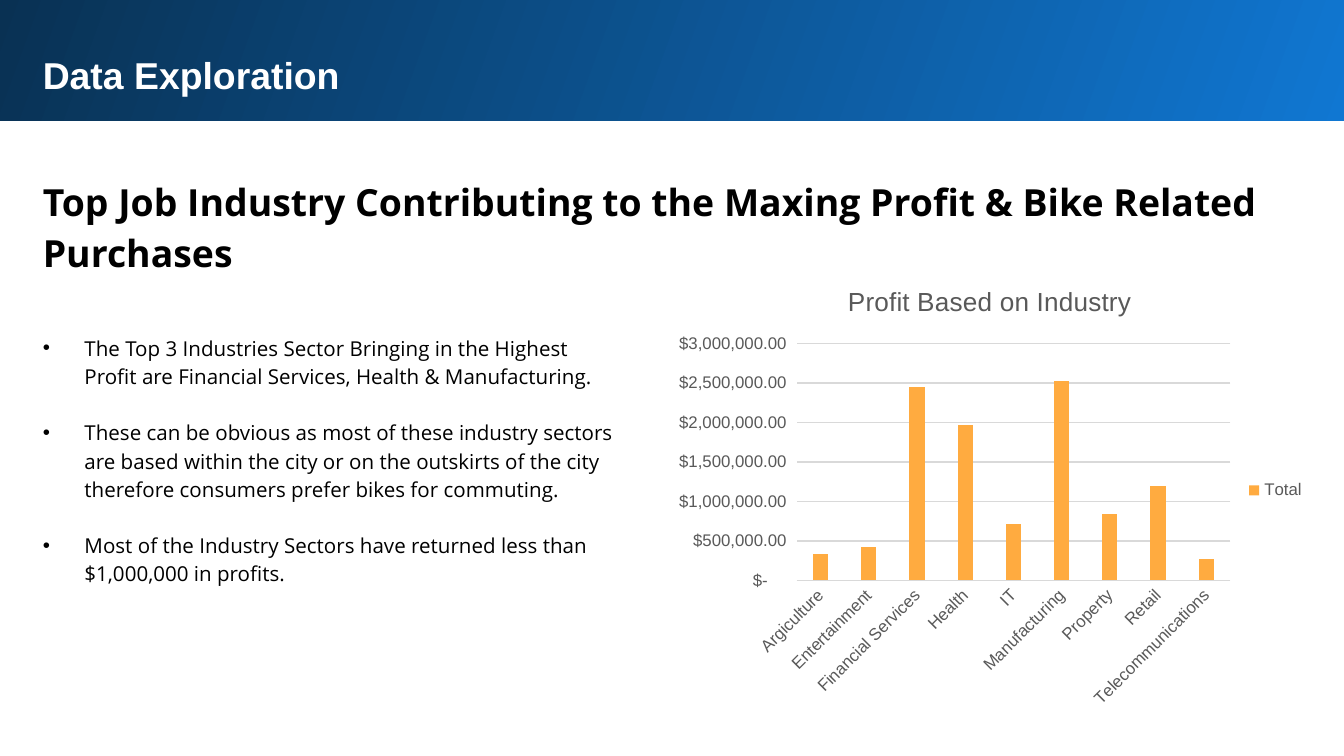
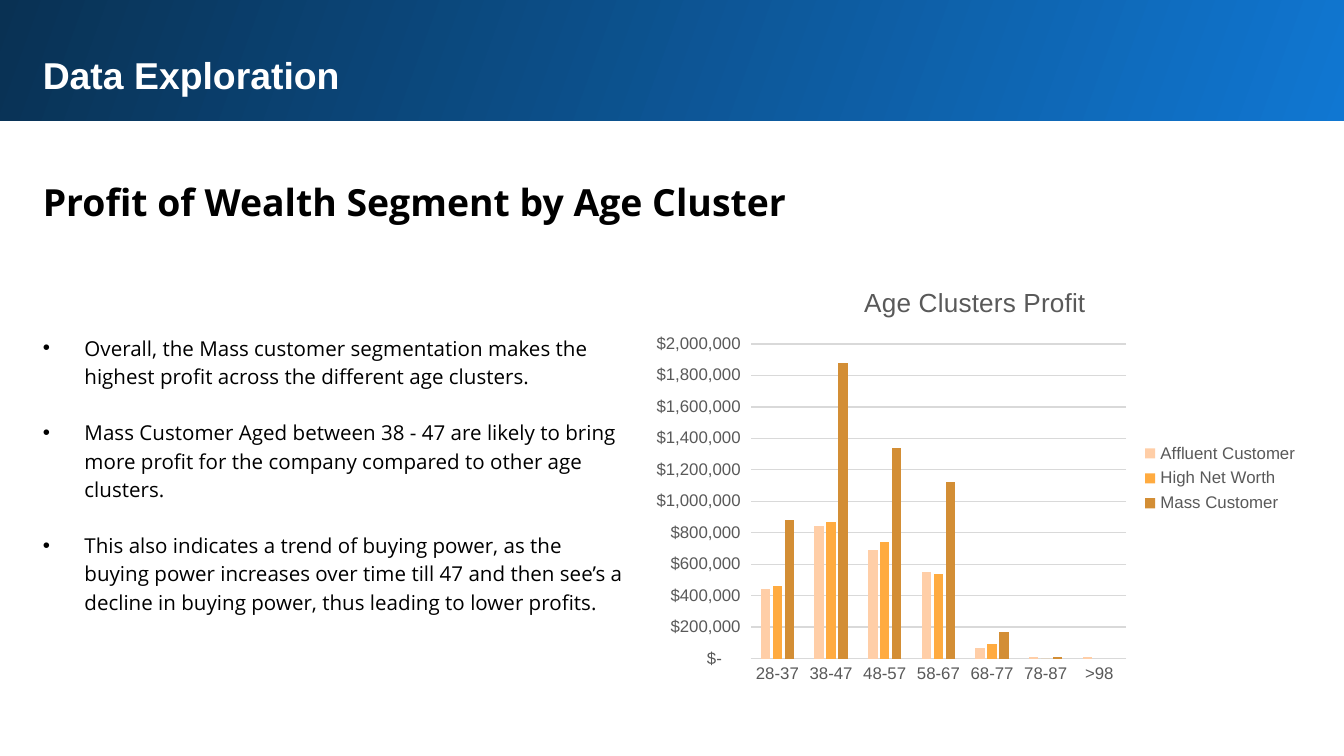
from dataclasses import dataclass

from lxml.etree import SubElement
from pptx import Presentation
from pptx.chart.data import CategoryChartData
from pptx.dml.color import RGBColor
from pptx.enum.chart import XL_CHART_TYPE, XL_LEGEND_POSITION, XL_TICK_MARK
from pptx.enum.shapes import MSO_SHAPE
from pptx.enum.text import MSO_AUTO_SIZE
from pptx.oxml.ns import qn
from pptx.util import Inches, Pt

COLORS = {
    "band_light": "1077D2",
    "band_dark": "093153",
    "white": "FFFFFF",
    "black": "000000",
    "chart_text": "595959",
    "grid": "D9D9D9",
    "peach": "FFCEA7",
    "orange": "FFAB40",
    "brown": "D38E35",
}
HEAD_FONT = "Arial"
BODY_FONT = "Open Sans"
LEFT = 0.22
BULLET_INDENT = Inches(0.31)


@dataclass
class Series:
    name: str
    color: str
    values: list


@dataclass
class ColumnChart:
    title: str
    area: tuple
    categories: list
    series: list
    digits: str
    maximum: int
    step: int
    label_angle: int = 0


@dataclass
class ExplorationPage:
    heading: list
    heading_height: float
    bullets: list
    bullets_height: float
    chart: ColumnChart


PAGES = [
    ExplorationPage(
        heading=[
            "Top Job Industry Contributing to the Maxing Profit & Bike Related",
            "Purchases",
        ],
        heading_height=0.95,
        bullets=[
            "The Top 3 Industries Sector Bringing in the Highest Profit are "
            "Financial Services, Health & Manufacturing.",
            "These can be obvious as most of these industry sectors are based within "
            "the city or on the outskirts of the city therefore consumers prefer "
            "bikes for commuting.",
            "Most of the Industry Sectors have returned less than $1,000,000 in profits.",
        ],
        bullets_height=2.1,
        chart=ColumnChart(
            title="Profit Based on Industry",
            area=(4.92, 1.96, 4.89, 3.38),
            categories=["Argiculture", "Entertainment", "Financial Services", "Health",
                        "IT", "Manufacturing", "Property", "Retail",
                        "Telecommunications"],
            series=[
                Series("Total", "orange", [340000, 420000, 2450000, 1970000, 710000,
                                           2520000, 840000, 1190000, 270000]),
            ],
            digits="#,##0.00",
            maximum=3000000,
            step=500000,
            label_angle=-45,
        ),
    ),
    ExplorationPage(
        heading=["Profit of Wealth Segment by Age Cluster"],
        heading_height=0.56,
        bullets=[
            "Overall, the Mass customer segmentation makes the highest profit across "
            "the different age clusters.",
            "Mass Customer Aged between 38 - 47 are likely to bring more profit for "
            "the company compared to other age clusters.",
            "This also indicates a trend of buying power, as the buying power "
            "increases over time till 47 and then see’s a decline in buying power, "
            "thus leading to lower profits.",
        ],
        bullets_height=2.32,
        chart=ColumnChart(
            title="Age Clusters Profit",
            area=(4.75, 1.97, 5.01, 3.18),
            categories=["28-37", "38-47", "48-57", "58-67", "68-77", "78-87", ">98"],
            series=[
                Series("Affluent Customer", "peach",
                       [440000, 840000, 690000, 550000, 70000, 10000, 10000]),
                Series("High Net Worth", "orange",
                       [460000, 870000, 740000, 540000, 90000, 0, None]),
                Series("Mass Customer", "brown",
                       [880000, 1880000, 1340000, 1120000, 170000, 10000, None]),
            ],
            digits="#,##0",
            maximum=2000000,
            step=200000,
        ),
    ),
]


def rgb(name: str) -> RGBColor:
    return RGBColor.from_string(COLORS[name])


def style_font(font, name: str, size: float, color: str, bold: bool = False) -> None:
    font.name = name
    font.size = Pt(size)
    font.bold = bold
    font.color.rgb = rgb(color)


def add_bullet(para) -> None:
    properties = para._p.get_or_add_pPr()
    properties.set("marL", str(BULLET_INDENT))
    properties.set("indent", str(-BULLET_INDENT))
    SubElement(properties, qn("a:buFont")).set("typeface", "Arial")
    SubElement(properties, qn("a:buChar")).set("char", "•")


def add_text(page, area: tuple, lines: list, font: str, size: float, color: str,
             bold: bool = False, spacing: float = 1.0, bulleted: bool = False) -> None:
    box = page.shapes.add_textbox(*map(Inches, area))
    frame = box.text_frame
    frame.word_wrap = True
    frame.auto_size = MSO_AUTO_SIZE.SHAPE_TO_FIT_TEXT
    frame.margin_left = frame.margin_right = Inches(0.1)
    frame.margin_top = frame.margin_bottom = Inches(0.1)
    frame.text = "\n".join(lines)
    for index, para in enumerate(frame.paragraphs):
        if bulleted:
            add_bullet(para)
            if index:
                para.space_before = Pt(15)
        para.line_spacing = spacing
        for span in para.runs:
            style_font(span.font, font, size, color, bold)


def add_band(page) -> None:
    band = page.shapes.add_shape(MSO_SHAPE.RECTANGLE, Inches(-0.02), Inches(-0.02),
                                 Inches(10.05), Inches(0.92))
    band.shadow.inherit = False
    band.line.fill.background()
    band.fill.gradient()
    band.fill.gradient_angle = 160
    for stop, (position, color) in zip(band.fill.gradient_stops,
                                       [(0, "band_light"), (1, "band_dark")]):
        stop.position = position
        stop.color.rgb = rgb(color)


def add_column_chart(page, content: ColumnChart) -> None:
    data = CategoryChartData()
    data.categories = content.categories
    for series in content.series:
        data.add_series(series.name, series.values)
    chart = page.shapes.add_chart(XL_CHART_TYPE.COLUMN_CLUSTERED,
                                  *map(Inches, content.area), data).chart
    style_font(chart.font, HEAD_FONT, 10, "black")

    # Title and legend
    chart.has_title = True
    chart.chart_title.include_in_layout = False
    title_frame = chart.chart_title.text_frame
    title_frame.text = content.title
    style_font(title_frame.paragraphs[0].runs[0].font, HEAD_FONT, 14, "chart_text")
    chart.has_legend = True
    chart.legend.position = XL_LEGEND_POSITION.RIGHT
    chart.legend.include_in_layout = False
    style_font(chart.legend.font, HEAD_FONT, 9, "chart_text")

    # Columns
    plot = chart.plots[0]
    plot.vary_by_categories = False
    plot.gap_width = 219
    plot.overlap = -27
    for drawn, series in zip(plot.series, content.series):
        drawn.invert_if_negative = False
        drawn.format.fill.solid()
        drawn.format.fill.fore_color.rgb = rgb(series.color)

    # Axes
    categories, values = chart.category_axis, chart.value_axis
    for axis in (categories, values):
        axis.major_tick_mark = axis.minor_tick_mark = XL_TICK_MARK.NONE
        style_font(axis.tick_labels.font, HEAD_FONT, 9, "chart_text")
    values.has_major_gridlines = True
    for line in (categories.format.line, values.major_gridlines.format.line):
        line.color.rgb = rgb("grid")
        line.width = Pt(0.75)
    values.format.line.fill.background()
    values.minimum_scale = 0
    values.maximum_scale = content.maximum
    values.major_unit = content.step
    dollars, digits = "_-[$$-409]* ", content.digits
    values.tick_labels.number_format = (
        f'{dollars}{digits}_ ;{dollars}\\-{digits}\\ ;{dollars}"-"??_ ;_-@_ ')
    values.tick_labels.number_format_is_linked = False
    if content.label_angle:
        body = categories._element.find(qn("c:txPr")).find(qn("a:bodyPr"))
        body.set("rot", str(content.label_angle * 60000))
        body.set("vert", "horz")


def add_page(deck, content: ExplorationPage) -> None:
    page = deck.slides.add_slide(deck.slide_layouts[6])
    add_band(page)
    add_text(page, (LEFT, 0.29, 9.37, 0.54), ["Data Exploration"],
             HEAD_FONT, 20, "white", bold=True)
    add_text(page, (LEFT, 1.18, 9.37, content.heading_height), content.heading,
             BODY_FONT, 20, "black", bold=True, spacing=1.15)
    add_text(page, (LEFT, 2.37, 4.52, content.bullets_height), content.bullets,
             BODY_FONT, 11, "black", spacing=1.15, bulleted=True)
    add_column_chart(page, content.chart)


def main() -> None:
    deck = Presentation()
    # Widescreen, 16:9
    deck.slide_width = Inches(10)
    deck.slide_height = Inches(10 * 9 / 16)
    for content in PAGES:
        add_page(deck, content)
    deck.save("out.pptx")


if __name__ == "__main__":
    main()
